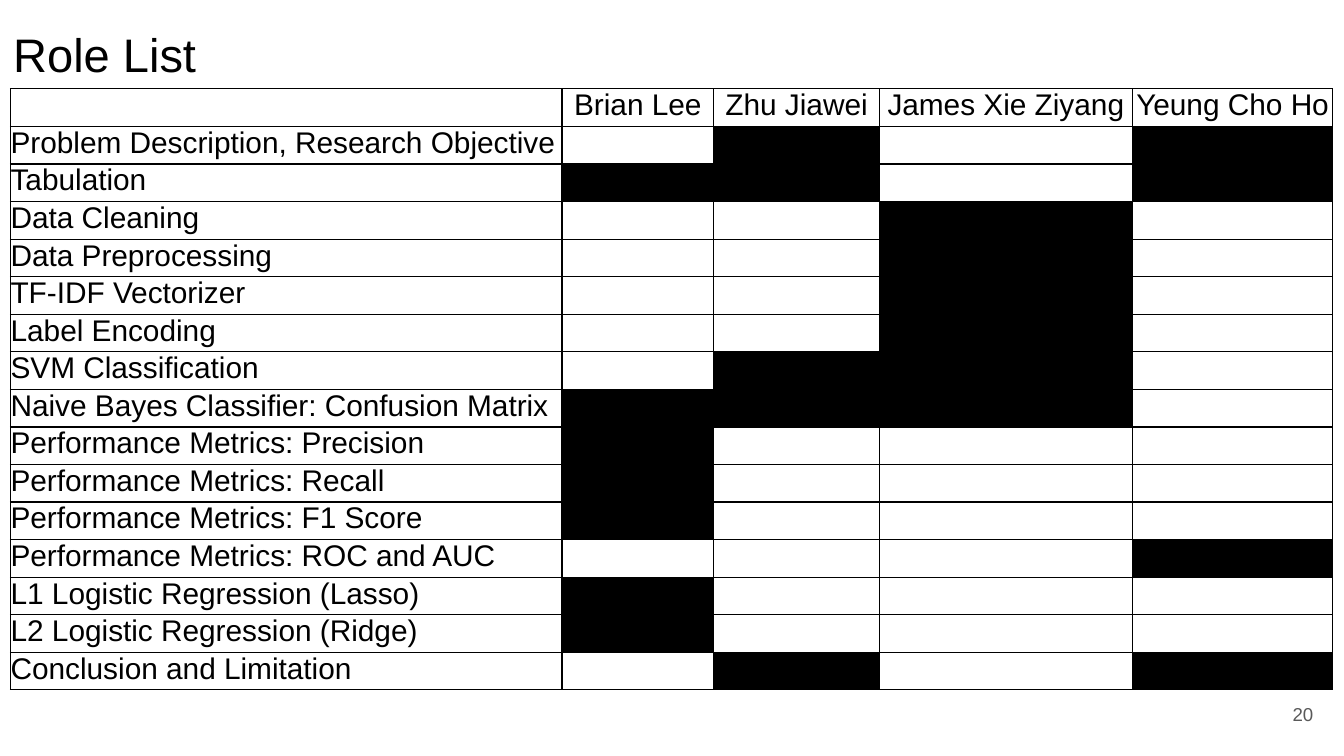
from lxml import etree
from pptx import Presentation
from pptx.dml.color import RGBColor
from pptx.enum import text
from pptx.oxml import ns
from pptx.util import Cm, Pt

BLACK = RGBColor(0x00, 0x00, 0x00)
WHITE = RGBColor(0xFF, 0xFF, 0xFF)
GRAY = RGBColor(0x59, 0x59, 0x59)

LEFT = text.PP_ALIGN.LEFT
CENTER = text.PP_ALIGN.CENTER
RIGHT = text.PP_ALIGN.RIGHT

MEMBERS = ["Brian Lee", "Zhu Jiawei", "James Xie Ziyang", "Yeung Cho Ho"]
ROLES = [
    ("Problem Description, Research Objective", ".X.X"),
    ("Tabulation", "XX.X"),
    ("Data Cleaning", "..X."),
    ("Data Preprocessing", "..X."),
    ("TF-IDF Vectorizer", "..X."),
    ("Label Encoding", "..X."),
    ("SVM Classification", ".XX."),
    ("Naive Bayes Classifier: Confusion Matrix", "XXX."),
    ("Performance Metrics: Precision", "X..."),
    ("Performance Metrics: Recall", "X..."),
    ("Performance Metrics: F1 Score", "X..."),
    ("Performance Metrics: ROC and AUC", "...X"),
    ("L1 Logistic Regression (Lasso)", "X..."),
    ("L2 Logistic Regression (Ridge)", "X..."),
    ("Conclusion and Limitation", ".X.X"),
]
COLUMN_WIDTHS = [10.42, 2.87, 3.13, 4.78, 3.79]
ROW_HEIGHT = 0.71


def set_attributes(target, values):
    for name, value in values.items():
        setattr(target, name, value)


def write_text(paragraph, content, size, color, alignment):
    paragraph.alignment = alignment
    run = paragraph.add_run()
    run.text = content
    set_attributes(run.font, {"name": "Arial", "size": Pt(size)})
    run.font.color.rgb = color


def add_label(slide, box, content, size, color, alignment, anchor):
    shape = slide.shapes.add_textbox(*(Cm(length) for length in box))
    margin = Cm(0.25)
    set_attributes(shape.text_frame, {
        "word_wrap": True, "vertical_anchor": anchor,
        "margin_left": margin, "margin_right": margin,
        "margin_top": margin, "margin_bottom": margin,
    })
    write_text(shape.text_frame.paragraphs[0], content, size, color, alignment)


def add_borders(cell):
    properties = cell._tc.get_or_add_tcPr()
    for position, side in enumerate(("lnL", "lnR", "lnT", "lnB")):
        line = etree.Element(ns.qn(f"a:{side}"), w=str(Pt(0.75)))
        fill = etree.SubElement(line, ns.qn("a:solidFill"))
        etree.SubElement(fill, ns.qn("a:srgbClr"), val=str(BLACK))
        properties.insert(position, line)


def format_cell(cell, content, fill, alignment):
    set_attributes(cell, {
        "margin_left": 0, "margin_right": 0,
        "margin_top": 0, "margin_bottom": 0,
    })
    cell.fill.solid()
    cell.fill.fore_color.rgb = fill
    add_borders(cell)
    paragraph = cell.text_frame.paragraphs[0]
    if content:
        write_text(paragraph, content, 16, BLACK, alignment)
    else:
        etree.SubElement(paragraph._p, ns.qn("a:endParaRPr"), sz="1600")


def add_role_table(slide):
    row_count = len(ROLES) + 1
    frame = slide.shapes.add_table(
        row_count, len(COLUMN_WIDTHS), Cm(0.2), Cm(1.68),
        Cm(sum(COLUMN_WIDTHS)), Cm(ROW_HEIGHT * row_count))
    table = frame.table
    set_attributes(table, {"first_row": False, "horz_banding": False})
    for column, width in zip(table.columns, COLUMN_WIDTHS):
        column.width = Cm(width)
    for row in table.rows:
        row.height = Cm(ROW_HEIGHT)
    for index, name in enumerate(["", *MEMBERS]):
        format_cell(table.cell(0, index), name, WHITE, CENTER)
    for row_index, (role, marks) in enumerate(ROLES, 1):
        format_cell(table.cell(row_index, 0), role, WHITE, LEFT)
        for column_index, mark in enumerate(marks, 1):
            fill = BLACK if mark == "X" else WHITE
            format_cell(table.cell(row_index, column_index), "", fill, LEFT)


def main():
    presentation = Presentation()
    set_attributes(presentation, {"slide_width": Cm(25.4), "slide_height": Cm(14.29)})
    slide = presentation.slides.add_slide(presentation.slide_layouts[6])
    add_label(slide, (0, 0.2, 23.67, 1.6), "Role List", 25.2, BLACK, LEFT,
              text.MSO_ANCHOR.BOTTOM)
    add_role_table(slide)
    add_label(slide, (23.55, 12.95, 1.52, 1.09), "20", 10, GRAY, RIGHT,
              text.MSO_ANCHOR.MIDDLE)
    presentation.save("out.pptx")


if __name__ == "__main__":
    main()
